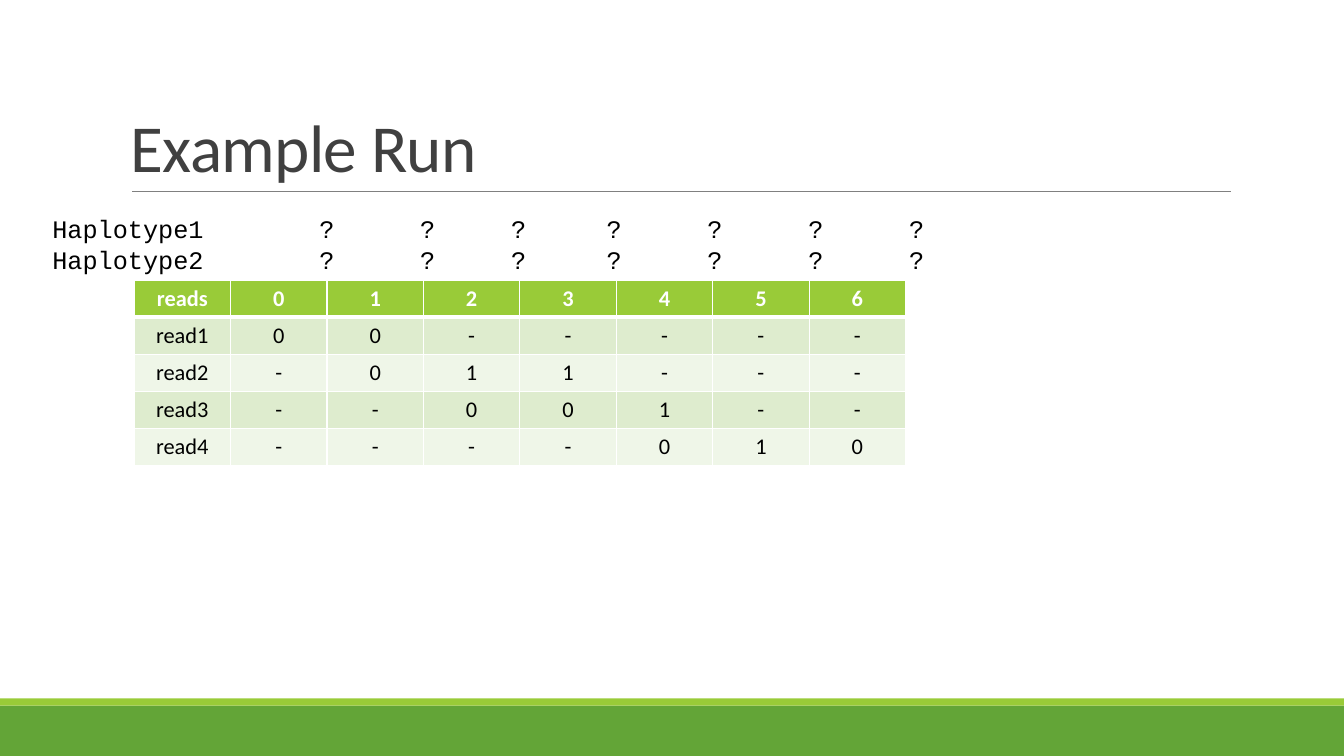
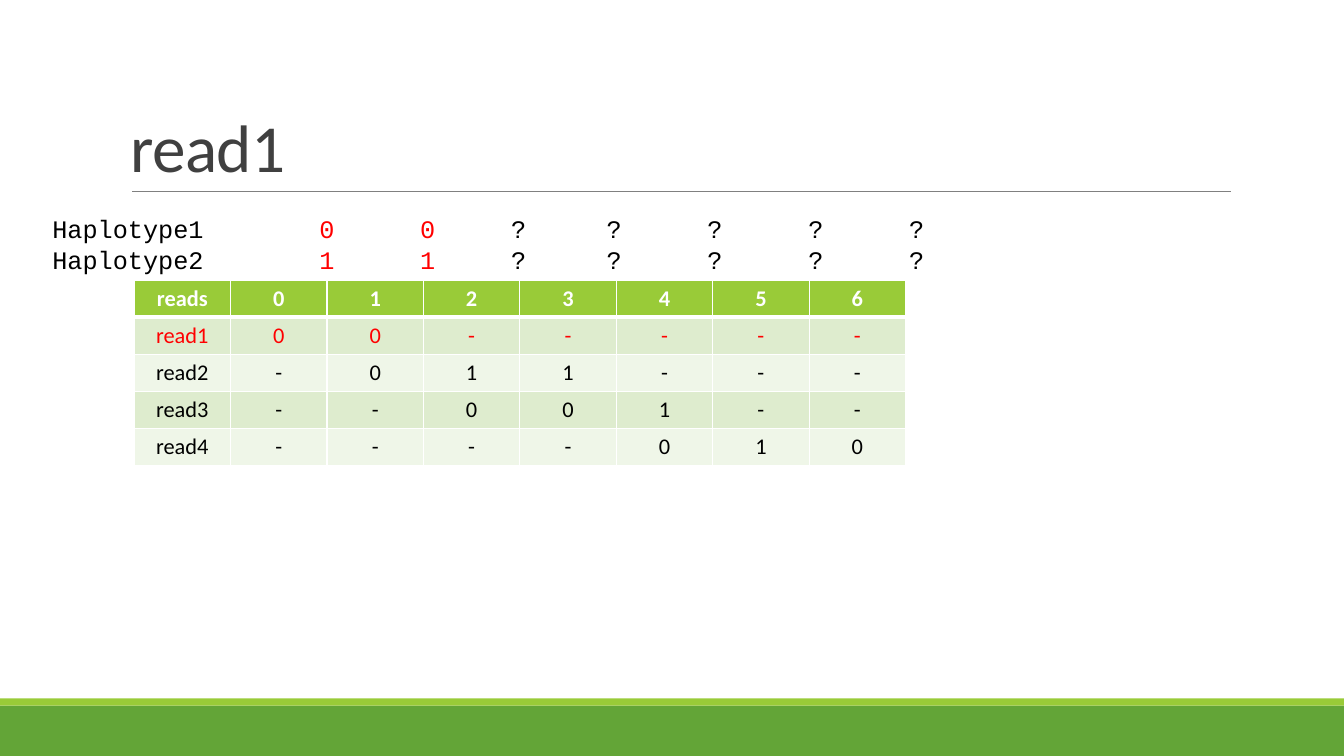
from lxml import etree
from pptx import Presentation
from pptx.dml.color import RGBColor
from pptx.enum.shapes import MSO_CONNECTOR, MSO_SHAPE
from pptx.enum.text import MSO_ANCHOR, PP_ALIGN
from pptx.oxml.ns import qn
from pptx.util import Cm, Pt

RECT = MSO_SHAPE.RECTANGLE
STRAIGHT = MSO_CONNECTOR.STRAIGHT
BOTTOM = MSO_ANCHOR.BOTTOM
CENTER = PP_ALIGN.CENTER

WHITE = RGBColor(0xFF, 0xFF, 0xFF)
BLACK = RGBColor(0x00, 0x00, 0x00)
RED = RGBColor(0xFF, 0x00, 0x00)
TITLE_GRAY = RGBColor(0x40, 0x40, 0x40)
RULE_GRAY = RGBColor(0x80, 0x80, 0x80)
DARK_GREEN = RGBColor(0x63, 0xA5, 0x37)
LIME = RGBColor(0x99, 0xCB, 0x38)
ROW_FILLS = (RGBColor(0xDE, 0xEC, 0xCE), RGBColor(0xEF, 0xF6, 0xE8))

SLIDE_W, SLIDE_H = 33.87, 19.05
HAPLOTYPE_TABS = (6.73, 9.27, 11.56, 13.97, 16.51, 19.05, 21.59)
COL_W, ROW_H = 2.43, 0.9

READS = (
    ("reads", *"0123456"),
    ("read1", *"00-----"),
    ("read2", *"-011---"),
    ("read3", *"--001--"),
    ("read4", *"----010"),
)


class Deck:
    """Holds the shared style and the current slide."""

    def __init__(self):
        self.prs = Presentation()
        self.prs.slide_width = Cm(SLIDE_W)
        self.prs.slide_height = Cm(SLIDE_H)
        self.s = None

    def new_slide(self, title):
        self.s = self.prs.slides.add_slide(self.prs.slide_layouts[6])
        self.band(17.78, 1.27, DARK_GREEN)
        self.band(17.6, 0.18, LIME)
        self.rule(3.33, 31.01, 4.83)
        self.title(title)

    def band(self, y, h, color):
        sp = self.s.shapes.add_shape(RECT, 0, Cm(y), Cm(SLIDE_W), Cm(h))
        sp.shadow.inherit = False
        sp.fill.solid()
        sp.fill.fore_color.rgb = color
        sp.line.fill.background()

    def rule(self, x1, x2, y):
        line = self.s.shapes.add_connector(STRAIGHT, Cm(x1), Cm(y), Cm(x2), Cm(y))
        line.line.color.rgb = RULE_GRAY
        line.line.width = Pt(0.5)
        etree.SubElement(line._element.spPr, qn("a:effectLst"))

    def text_box(self, x, y, w, h):
        tf = self.s.shapes.add_textbox(Cm(x), Cm(y), Cm(w), Cm(h)).text_frame
        tf.word_wrap = True
        return tf

    def set_font(self, p, name, size, color, bold=False):
        p.font.name = name
        p.font.size = Pt(size)
        p.font.bold = bold
        p.font.color.rgb = color

    def title(self, text):
        tf = self.text_box(3.05, 0.79, 27.94, 4.04)
        tf.vertical_anchor = BOTTOM
        p = tf.paragraphs[0]
        p.line_spacing = 0.85
        r = p.add_run()
        r.text = text
        r._r.get_or_add_rPr().set("spc", "-50")
        self.set_font(p, "Calibri", 48, TITLE_GRAY)

    def haplotypes(self, rows):
        """One line per haplotype; resolved alleles are red."""
        tf = self.text_box(1.07, 5.26, 28.22, 1.8)
        for i, alleles in enumerate(rows):
            p = tf.add_paragraph() if i else tf.paragraphs[0]
            tabs = etree.SubElement(p._p.get_or_add_pPr(), qn("a:tabLst"))
            for x in HAPLOTYPE_TABS:
                etree.SubElement(tabs, qn("a:tab"), pos=str(Cm(x)), algn="l")
            self.set_font(p, "Courier New", 18, BLACK)
            p.add_run().text = f"Haplotype{i + 1}"
            for allele in alleles:
                r = p.add_run()
                r.text = "\t" + allele
                if allele != "?":
                    r.font.color.rgb = RED

    def borders(self, cell, bottom):
        tc_pr = cell._tc.get_or_add_tcPr()
        for side, width in (("L", 1), ("R", 1), ("T", 1), ("B", bottom)):
            ln = etree.SubElement(tc_pr, qn(f"a:ln{side}"), w=str(Pt(width)))
            fill = etree.SubElement(ln, qn("a:solidFill"))
            etree.SubElement(fill, qn("a:srgbClr"), val=str(WHITE))

    def reads_table(self, active=None):
        """Table of reads; the active row is red."""
        n_rows, n_cols = len(READS), len(READS[0])
        table = self.s.shapes.add_table(
            n_rows, n_cols, Cm(3.38), Cm(7.06),
            Cm(COL_W * n_cols), Cm(ROW_H * n_rows)).table
        for i, row in enumerate(READS):
            header = i == 0
            color = WHITE if header else RED if row[0] == active else BLACK
            for j, value in enumerate(row):
                cell = table.cell(i, j)
                self.borders(cell, bottom=3 if header else 1)
                cell.fill.solid()
                cell.fill.fore_color.rgb = LIME if header else ROW_FILLS[(i - 1) % 2]
                p = cell.text_frame.paragraphs[0]
                p.text = value
                p.alignment = CENTER
                self.set_font(p, "Calibri", 16, color, header)


def main():
    deck = Deck()

    # Starting state: nothing resolved
    deck.new_slide("Example Run")
    deck.haplotypes(("???????", "???????"))
    deck.reads_table()

    # First read fixes two positions
    deck.new_slide("read1")
    deck.haplotypes(("00?????", "11?????"))
    deck.reads_table(active="read1")

    deck.prs.save("out.pptx")


if __name__ == "__main__":
    main()
